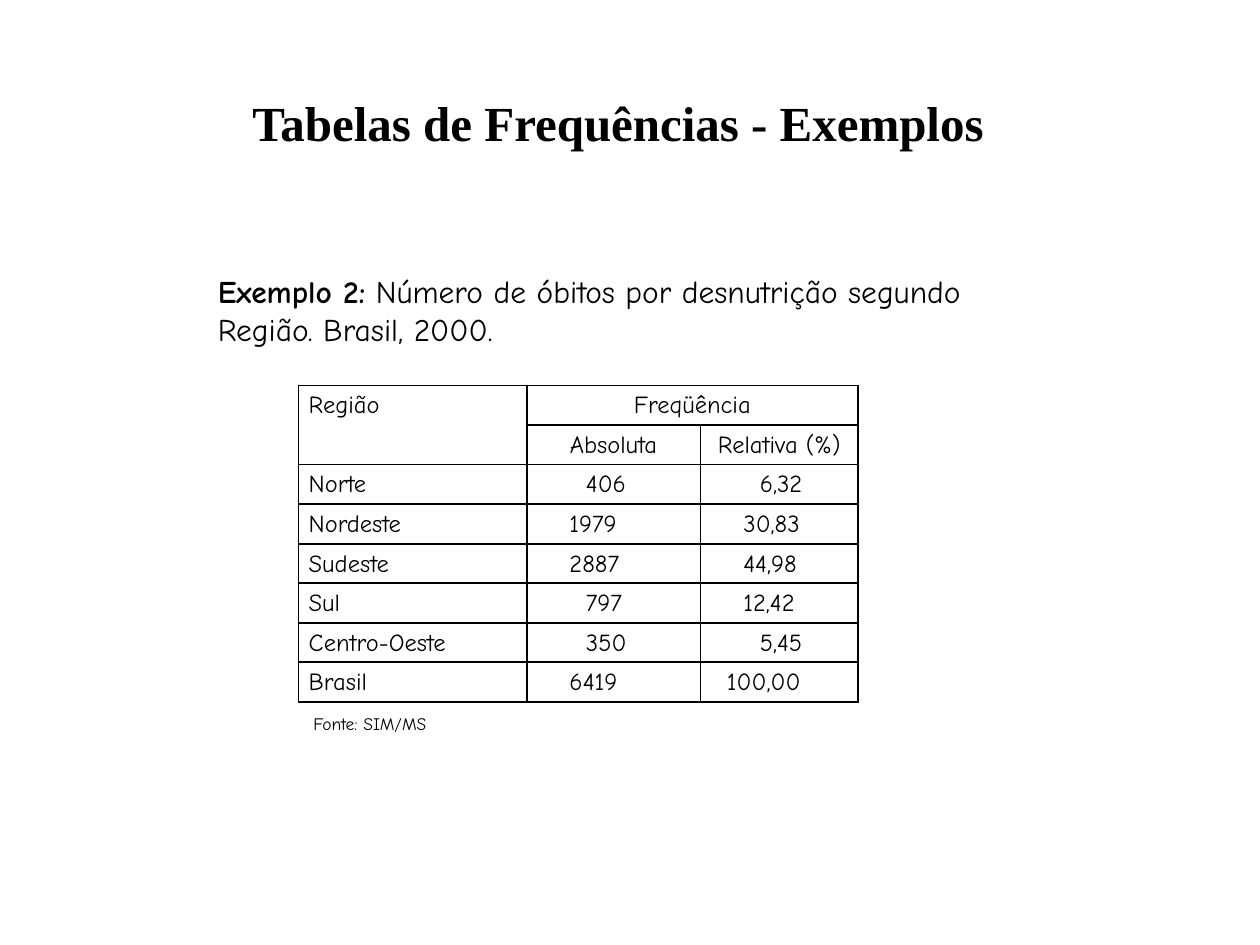
import pptx
import pptx.util
import pptx.dml.color
import pptx.enum.text
import pptx.oxml.ns
import lxml.etree

Inches = pptx.util.Inches
Pt = pptx.util.Pt
ALIGN = pptx.enum.text.PP_ALIGN
ANCHOR = pptx.enum.text.MSO_ANCHOR

COLORS = {"ink": "000000"}
TITLE_FONT = "Times New Roman"
BODY_FONT = "Comic Neue"
DIGIT_WIDTH = 0.13

COLUMNS = [1.81, 1.38, 1.25]
HEADERS = [
    ["Região", "Freqüência", ""],
    ["", "Absoluta", "Relativa (%)"],
]
REGIONS = [
    ["Norte", "406", "6,32"],
    ["Nordeste", "1979", "30,83"],
    ["Sudeste", "2887", "44,98"],
    ["Sul", "797", "12,42"],
    ["Centro-Oeste", "350", "5,45"],
    ["Brasil", "6419", "100,00"],
]
INDENT_DIGITS = [0, 6, 4]


def style(font, name, size):
    font.name = name
    font.size = Pt(size)
    font.color.rgb = pptx.dml.color.RGBColor.from_string(COLORS["ink"])


def add_title(s, left, top, width, height):
    sp = s.shapes.title
    sp.left, sp.top, sp.width, sp.height = map(Inches, (left, top, width, height))
    tf = sp.text_frame
    tf.vertical_anchor = ANCHOR.BOTTOM
    tf.word_wrap = True
    tf.auto_size = pptx.enum.text.MSO_AUTO_SIZE.NONE
    p = tf.paragraphs[0]
    p.text = "Tabelas de Frequências - Exemplos"
    p.alignment = ALIGN.CENTER
    p.line_spacing = 1.3
    style(p.font, TITLE_FONT, 28)
    p.font.bold = True


def add_text(s, left, top, width, height, runs, size, wrap=True, align=ALIGN.LEFT):
    x, y, w, h = map(Inches, (left, top, width, height))
    outline = s.shapes.build_freeform(x, y)
    outline.add_line_segments([(x + w, y), (x + w, y + h), (x, y + h)], close=True)
    sp = outline.convert_to_shape()
    sp.shadow.inherit = False
    sp.fill.background()
    sp.line.fill.background()
    tf = sp.text_frame
    tf.word_wrap = wrap
    tf.vertical_anchor = ANCHOR.TOP
    p = tf.paragraphs[0]
    p.alignment = align
    style(p.font, BODY_FONT, size)
    for text, bold in runs:
        r = p.add_run()
        r.text = text
        r.font.bold = bold


def set_borders(cell, widths):
    tc_pr = cell._tc.get_or_add_tcPr()
    for side, width in zip("LRTB", widths):
        ln = lxml.etree.SubElement(
            tc_pr, pptx.oxml.ns.qn(f"a:ln{side}"), w=str(Pt(width)))
        fill = lxml.etree.SubElement(ln, pptx.oxml.ns.qn("a:solidFill"))
        lxml.etree.SubElement(
            fill, pptx.oxml.ns.qn("a:srgbClr"), val=COLORS["ink"])


def fill_cell(cell, text, row, col):
    left = 0.45 if col == 2 and row > 0 else 1.08
    right = 0.45 if col == 1 and row > 0 else 1.08
    set_borders(cell, (left, right, 1.08, 1.08))
    cell.fill.background()
    cell.margin_left = cell.margin_right = Inches(0.08)
    cell.margin_top = Inches(0.05)
    cell.margin_bottom = Inches(0.04)
    p = cell.text_frame.paragraphs[0]
    p.text = text
    if col > 0 and row < len(HEADERS):
        p.alignment = ALIGN.CENTER
    elif col > 0:
        digits = len(text.split(",")[0])
        indent = DIGIT_WIDTH * (INDENT_DIGITS[col] - digits)
        p._p.get_or_add_pPr().set("marL", str(Inches(indent)))
    style(p.font, BODY_FONT, 14)


def add_frequency_table(s, left, top, width, height):
    rows = HEADERS + REGIONS
    frame = s.shapes.add_table(
        len(rows), len(COLUMNS), *map(Inches, (left, top, width, height)))
    table = frame.table
    table.first_row = False
    table.horz_banding = False
    for column, column_width in zip(table.columns, COLUMNS):
        column.width = Inches(column_width)
    for i, values in enumerate(rows):
        table.rows[i].height = Inches(height / len(rows))
        for j, text in enumerate(values):
            fill_cell(table.cell(i, j), text, i, j)
    table.cell(0, 0).merge(table.cell(1, 0))
    table.cell(0, 1).merge(table.cell(0, 2))


def main():
    prs = pptx.Presentation()
    prs.slide_width = Inches(10)
    prs.slide_height = Inches(7.5)
    s = prs.slides.add_slide(prs.slide_layouts[5])
    add_title(s, 1.56, 0.68, 6.69, 0.57)
    caption = [
        ("Exemplo 2:", True),
        (" Número de óbitos por desnutrição segundo Região. Brasil, 2000.", False),
    ]
    add_text(s, 1.63, 2.11, 6.62, 0.7, caption, 18)
    add_frequency_table(s, 2.37, 3.06, 4.44, 2.48)
    add_text(s, 2.32, 5.61, 1.23, 0.27, [("Fonte: SIM/MS", False)], 10,
             wrap=False, align=ALIGN.CENTER)
    prs.save("out.pptx")


if __name__ == "__main__":
    main()
